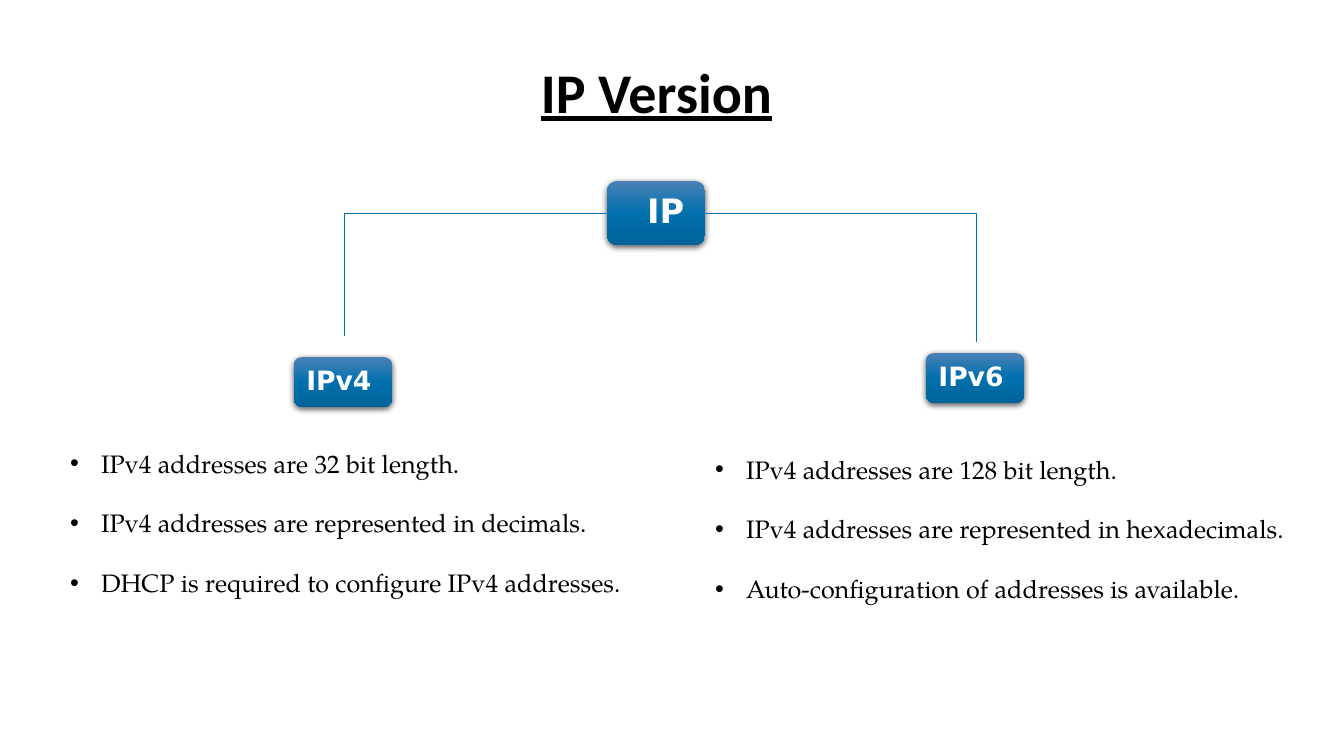
from copy import deepcopy

from lxml import etree
from pptx import Presentation
from pptx import util as u
from pptx.dml.color import RGBColor
from pptx.enum import shapes, text
from pptx.oxml.ns import qn

PX = 914400 / 100.8
COLORS = {"black": "000000", "white": "FFFFFF", "line": "0070AD",
          "top": "4B81B6", "middle": "0070AD", "bottom": "00649A"}
FONTS = {"title": "Calibri", "node": "DejaVu Sans", "list": "TeX Gyre Pagella"}


def px(value):
    return u.Emu(round(value * PX))


def rgb(name):
    return RGBColor.from_string(COLORS[name])


class Diagram:
    """Style and current slide."""

    def __init__(self, presentation):
        layout = presentation.slide_layouts.get_by_name("Two Content")
        self.slide = presentation.slides.add_slide(layout)

    def place(self, shape, left, top, width, height):
        shape.left, shape.top = px(left), px(top)
        shape.width, shape.height = px(width), px(height)

    def set_font(self, paragraph, role, size, color, bold=False):
        font = paragraph.font
        font.name, font.size, font.bold = FONTS[role], u.Pt(size), bold
        font.color.rgb = rgb(color)

    def title(self, wording, *box):
        shape = self.slide.shapes.title
        self.place(shape, *box)
        frame = shape.text_frame
        frame.text = wording
        frame.auto_size = text.MSO_AUTO_SIZE.NONE
        frame.vertical_anchor = text.MSO_ANCHOR.MIDDLE
        paragraph = frame.paragraphs[0]
        paragraph.alignment = text.PP_ALIGN.CENTER
        paragraph.line_spacing = 0.9
        self.set_font(paragraph, "title", 40, "black", bold=True)
        paragraph.font.underline = True

    def node(self, wording, left, top, width, height, size, inset):
        shape = self.slide.shapes.add_shape(
            shapes.MSO_SHAPE.ROUNDED_RECTANGLE,
            px(left), px(top), px(width), px(height))
        shape.line.fill.background()
        self.gradient(shape)
        self.soft_shadow(shape)
        frame = shape.text_frame
        frame.text = wording
        frame.word_wrap = True
        frame.vertical_anchor = text.MSO_ANCHOR.MIDDLE
        frame.margin_left = px(inset)
        frame.margin_top = frame.margin_right = frame.margin_bottom = 0
        paragraph = frame.paragraphs[0]
        paragraph.alignment = text.PP_ALIGN.LEFT
        paragraph.line_spacing = 0.9
        self.set_font(paragraph, "node", size, "white", bold=True)

    def gradient(self, shape):
        shape.fill.gradient()
        shape.fill.gradient_angle = 270
        stop_list = shape._element.spPr.find(".//" + qn("a:gsLst"))
        stop_list.append(deepcopy(stop_list[0]))
        names = ("top", "middle", "bottom")
        for index, (stop, name) in enumerate(zip(shape.fill.gradient_stops, names)):
            stop.position = index / 2
            stop.color.rgb = rgb(name)

    def soft_shadow(self, shape):
        shape.shadow.inherit = False
        effects = shape._element.spPr.find(qn("a:effectLst"))
        shadow = etree.SubElement(effects, qn("a:outerShdw"), blurRad=str(u.Pt(4.5)),
                                  dist=str(u.Pt(1.5)), dir="5400000", rotWithShape="0")
        color = etree.SubElement(shadow, qn("a:srgbClr"), val=COLORS["black"])
        etree.SubElement(color, qn("a:alpha"), val="63000")

    def branch(self, *ends):
        connector = self.slide.shapes.add_connector(
            shapes.MSO_CONNECTOR.ELBOW, *map(px, ends))
        connector.line.color.rgb = rgb("line")
        connector.line.width = u.Pt(0.5)
        properties = connector._element.spPr
        properties.find(qn("a:prstGeom")).set("prst", "bentConnector2")
        etree.SubElement(properties, qn("a:effectLst"))

    def bullets(self, index, items, *box):
        shape = self.slide.placeholders[index]
        self.place(shape, *box)
        frame = shape.text_frame
        frame.text = "\n".join(items)
        frame.word_wrap = True
        frame.auto_size = text.MSO_AUTO_SIZE.NONE
        for number, paragraph in enumerate(frame.paragraphs):
            properties = paragraph._p.get_or_add_pPr()
            properties.set("marL", str(px(31)))
            properties.set("indent", str(-px(31)))
            etree.SubElement(properties, qn("a:buFont"), typeface="Arial")
            etree.SubElement(properties, qn("a:buChar"), char="•")
            paragraph.space_before = u.Pt(21 if number else 0)
            self.set_font(paragraph, "list", 18, "black")


def main():
    presentation = Presentation()
    presentation.slide_width, presentation.slide_height = px(1344), px(756)
    diagram = Diagram(presentation)

    # Title
    diagram.title("IP Version", 77, 22, 1159, 146)

    # Tree of versions
    diagram.node("IPv4", 294, 357, 98, 50, size=19, inset=10)
    diagram.node("IPv6", 926, 353, 98, 50, size=19, inset=10)
    diagram.node("IP", 607, 181, 98, 64, size=24, inset=37)
    diagram.branch(607, 213, 344, 336)
    diagram.branch(705, 213, 976, 342)

    # Features of each version
    diagram.bullets(1, ["IPv4 addresses are 32 bit length.",
                        "IPv4 addresses are represented in decimals.",
                        "DHCP is required to configure IPv4 addresses."],
                    60, 443, 755, 194)
    diagram.bullets(2, ["IPv4 addresses are 128 bit length.",
                        "IPv4 addresses are represented in hexadecimals.",
                        "Auto-configuration of addresses is available."],
                    705, 449, 755, 254)

    presentation.save("out.pptx")


if __name__ == "__main__":
    main()
